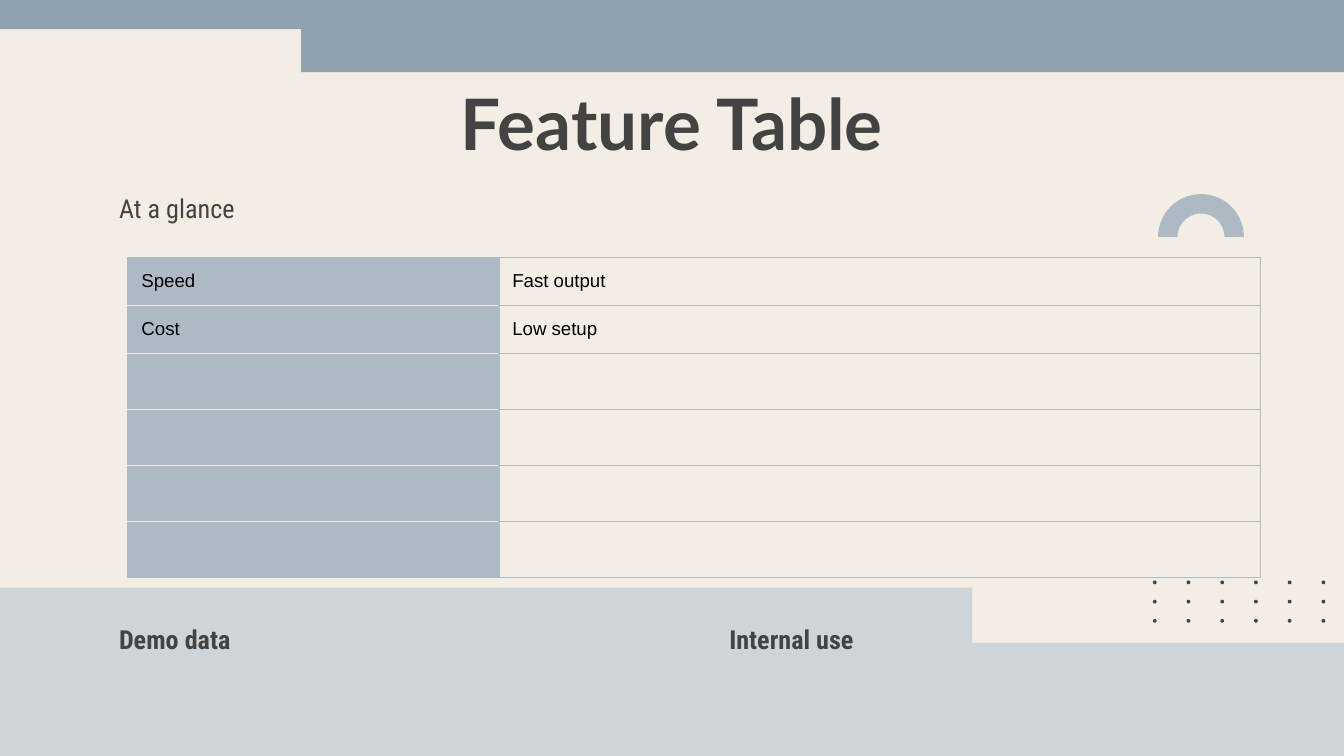
import math

from lxml import etree
from pptx import Presentation
from pptx.dml.color import RGBColor
from pptx.enum.shapes import MSO_SHAPE
from pptx.enum.text import MSO_ANCHOR, MSO_AUTO_SIZE, PP_ALIGN
from pptx.oxml.ns import qn
from pptx.util import Pt

COLORS = {
    "cream": "F3EDE3",
    "slate": "91A1B0",
    "mist": "CED4D7",
    "steel": "ADB9C4",
    "ink": "434343",
    "black": "000000",
}
INSET = 7.2
FEATURES = [("Speed", "Fast output"), ("Cost", "Low setup")] + [("", "")] * 4


def rgb(name):
    return RGBColor.from_string(COLORS[name])


def paint(shape, color):
    shape.shadow.inherit = False
    shape.fill.solid()
    shape.fill.fore_color.rgb = rgb(color)
    shape.line.fill.background()


def add_outline(slide, points, color):
    builder = slide.shapes.build_freeform(Pt(points[0][0]), Pt(points[0][1]))
    builder.add_line_segments([(Pt(x), Pt(y)) for x, y in points[1:]], close=True)
    paint(builder.convert_to_shape(), color)


def add_half_ring(slide, cx, base, outer, inner, color):
    angles = [math.radians(a) for a in range(180, 361, 5)]
    arcs = [(outer, angles), (inner, angles[::-1])]
    points = [(cx + r * math.cos(a), base + r * math.sin(a)) for r, side in arcs for a in side]
    add_outline(slide, points, color)


def add_dot_grid(slide, left, top, columns, rows, gap_x, gap_y, size):
    for row in range(rows):
        for column in range(columns):
            dot = slide.shapes.add_shape(
                MSO_SHAPE.OVAL, Pt(left + column * gap_x), Pt(top + row * gap_y), Pt(size), Pt(size))
            paint(dot, "ink")


def style_run(run, font, size, color, bold=False):
    run.font.name = font
    run.font.size = Pt(size)
    run.font.bold = bold
    run.font.color.rgb = rgb(color)


def write_text(shape, box, text, font, size, bold=False, align=PP_ALIGN.LEFT):
    shape.left, shape.top, shape.width, shape.height = [Pt(v) for v in box]
    frame = shape.text_frame
    frame.word_wrap = True
    frame.auto_size = MSO_AUTO_SIZE.NONE
    frame.vertical_anchor = MSO_ANCHOR.TOP
    frame.margin_left = frame.margin_right = frame.margin_top = frame.margin_bottom = Pt(INSET)
    paragraph = frame.paragraphs[0]
    paragraph.alignment = align
    paragraph.line_spacing = 1.0
    paragraph.space_before = Pt(0)
    run = paragraph.add_run()
    run.text = text
    style_run(run, font, size, "ink", bold)


def add_label(slide, box, text, bold=False):
    label = slide.shapes.add_textbox(*[Pt(v) for v in box])
    write_text(label, box, text, "Roboto Condensed", 14, bold)


def set_borders(cell, left, right, top, bottom):
    properties = cell._tc.get_or_add_tcPr()
    sides = [("a:lnL", left), ("a:lnR", right), ("a:lnT", top), ("a:lnB", bottom)]
    for index, (tag, color) in enumerate(sides):
        line = etree.Element(qn(tag), w=str(Pt(0.75)))
        fill = etree.SubElement(line, qn("a:solidFill"))
        etree.SubElement(fill, qn("a:srgbClr"), val=COLORS[color])
        properties.insert(index, line)


def fill_cell(cell, text):
    paragraph = cell.text_frame.paragraphs[0]
    cell.margin_left = cell.margin_right = cell.margin_top = cell.margin_bottom = Pt(INSET)
    if text:
        run = paragraph.add_run()
        run.text = text
        style_run(run, "Arial", 10, "black")
    else:
        etree.SubElement(paragraph._p, qn("a:endParaRPr"), sz="1000")


def add_feature_table(slide, left, top, widths, features):
    heights = [25.4 if name else 30.1 for name, _ in features]
    frame = slide.shapes.add_table(
        len(features), 2, Pt(left), Pt(top), Pt(sum(widths)), Pt(sum(heights)))
    table = frame.table
    table.first_row = table.horz_banding = False
    for column, width in zip(table.columns, widths):
        column.width = Pt(width)
    last = len(features) - 1
    for index, (name, detail) in enumerate(features):
        table.rows[index].height = Pt(heights[index])
        name_cell, detail_cell = table.cell(index, 0), table.cell(index, 1)
        fill_cell(name_cell, name)
        fill_cell(detail_cell, detail)
        name_cell.vertical_anchor = MSO_ANCHOR.MIDDLE
        name_cell.fill.solid()
        name_cell.fill.fore_color.rgb = rgb("steel")
        detail_cell.fill.background()
        set_borders(name_cell, "steel", "steel",
                    "steel" if index == 0 else "cream",
                    "steel" if index == last else "cream")
        set_borders(detail_cell, "steel", "steel", "steel", "steel")


def main():
    deck = Presentation()
    deck.slide_width, deck.slide_height = Pt(720), Pt(405)
    slide = deck.slides.add_slide(deck.slide_layouts[5])
    slide.background.fill.solid()
    slide.background.fill.fore_color.rgb = rgb("cream")

    add_outline(slide, [(-10.8, -70), (-10.8, 15.6), (161.4, 15.6),
                        (161.4, 38.6), (720, 38.6), (720, -70)], "slate")
    add_outline(slide, [(-156, 314.8), (-156, 406), (729.4, 406),
                        (729.4, 344.4), (520.8, 344.4), (520.8, 314.8)], "mist")

    write_text(slide.shapes.title, (56.7, 35.3, 606.6, 45.4), "Feature Table",
               "Lato", 38, True, PP_ALIGN.CENTER)
    add_label(slide, (56.7, 95.8, 606.6, 29.5), "At a glance")
    add_label(slide, (56.7, 326.9, 252, 36), "Demo data", True)
    add_label(slide, (383.6, 326.9, 280, 36), "Internal use", True)

    add_half_ring(slide, 643.4, 127, 23, 12.6, "steel")
    add_dot_grid(slide, 617.6, 311, 6, 3, 18.07, 10.3, 2)
    add_feature_table(slide, 68.6, 138, (198.7, 408.2), FEATURES)
    deck.save("out.pptx")


main()
